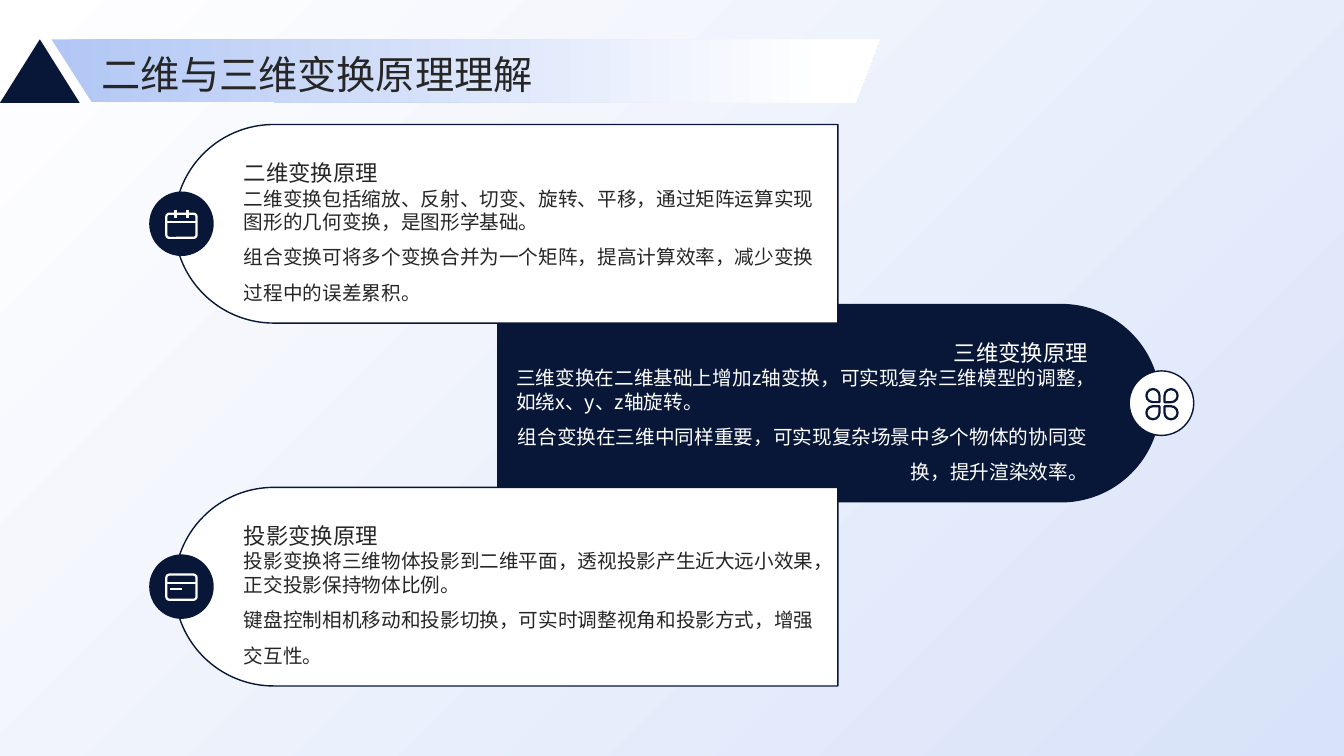
"""Build the slide on the principles of 2D, 3D and projection transforms."""
from lxml import etree
from pptx import Presentation
from pptx.dml.color import RGBColor
from pptx.enum.shapes import MSO_CONNECTOR, MSO_SHAPE
from pptx.enum.text import MSO_ANCHOR, PP_ALIGN
from pptx.oxml.ns import qn
from pptx.util import Inches, Pt

RECT, OVAL, TRIANGLE = MSO_SHAPE.RECTANGLE, MSO_SHAPE.OVAL, MSO_SHAPE.ISOSCELES_TRIANGLE
PILL, ROUNDED, TEAR = MSO_SHAPE.ROUND_2_SAME_RECTANGLE, MSO_SHAPE.ROUNDED_RECTANGLE, MSO_SHAPE.TEAR
STRAIGHT = MSO_CONNECTOR.STRAIGHT
LEFT, RIGHT = PP_ALIGN.LEFT, PP_ALIGN.RIGHT
TOP, MIDDLE, BOTTOM = MSO_ANCHOR.TOP, MSO_ANCHOR.MIDDLE, MSO_ANCHOR.BOTTOM
NAVY, WHITE, INK = "081738", "FFFFFF", "262626"
FONT = "Noto Sans CJK SC"
ICON_LINE = 1.6

prs = Presentation()
prs.slide_width, prs.slide_height = Inches(13.33), Inches(7.5)
s = prs.slides.add_slide(prs.slide_layouts[6])


def add_shape(kind, box, fill=None, line=None, width=1):
    sp = s.shapes.add_shape(kind, *map(Inches, box))
    sp.shadow.inherit = False
    for part, color in ((sp.fill, fill), (sp.line.fill, line)):
        if color:
            part.solid()
            part.fore_color.rgb = RGBColor.from_string(color)
        else:
            part.background()
    if line:
        sp.line.width = Pt(width)
    return sp


def add_text(box, paragraphs, size, color, anchor):
    tf = s.shapes.add_textbox(*map(Inches, box)).text_frame
    frame = {"word_wrap": True, "vertical_anchor": anchor, "margin_left": 0,
             "margin_right": 0, "margin_top": 0, "margin_bottom": 0}
    for name, value in frame.items():
        setattr(tf, name, value)
    for i, (text, align, spacing) in enumerate(paragraphs):
        p = tf.add_paragraph() if i else tf.paragraphs[0]
        p.alignment, p.line_spacing = align, spacing
        r = p.add_run()
        r.text = text
        for name, value in {"size": Pt(size), "name": FONT}.items():
            setattr(r.font, name, value)
        r.font.color.rgb = RGBColor.from_string(color)
        etree.SubElement(r.font._element, qn("a:ea"), typeface=FONT)


background = add_shape(RECT, (0, 0, 13.33, 7.5), WHITE)

cards = [
    {"center": (8.22, 4.0), "turn": 90, "fill": NAVY, "line": None, "ink": WHITE,
     "text_left": 5.12, "align": RIGHT, "badge_left": 11.2,
     "badge": (WHITE, NAVY), "title": "三维变换原理",
     "body": ["三维变换在二维基础上增加z轴变换，可实现复杂三维模型的调整，如绕x、y、z轴旋转。",
              "组合变换在三维中同样重要，可实现复杂场景中多个物体的协同变换，提升渲染效率。"]},
]
for center_y, title, body in (
    (2.22, "二维变换原理",
     ["二维变换包括缩放、反射、切变、旋转、平移，通过矩阵运算实现图形的几何变换，是图形学基础。",
      "组合变换可将多个变换合并为一个矩阵，提高计算效率，减少变换过程中的误差累积。"]),
    (5.82, "投影变换原理",
     ["投影变换将三维物体投影到二维平面，透视投影产生近大远小效果，正交投影保持物体比例。",
      "键盘控制相机移动和投影切换，可实时调整视角和投影方式，增强交互性。"]),
):
    cards.append({"center": (5.02, center_y), "turn": 270, "fill": WHITE, "line": NAVY,
                  "ink": INK, "text_left": 2.42, "align": LEFT, "badge_left": 1.48,
                  "badge": (NAVY, None), "title": title, "body": body})

for card in cards:
    x, y = card["center"]
    pill = add_shape(PILL, (x - 0.985, y - 3.29, 1.97, 6.58), card["fill"], card["line"])
    pill.rotation = card["turn"]
    pill.adjustments[0], pill.adjustments[1] = 0.5, 0
    left, align = card["text_left"], card["align"]
    first, second = card["body"]
    add_text((left, y - 0.37, 5.67, 1.22), [(first, LEFT, 1.0), (second, align, 1.5)],
             14, card["ink"], TOP)
    add_text((left, y - 0.85, 5.67, 0.48), [(card["title"], align, 1.3)],
             16, card["ink"], BOTTOM)
    add_shape(OVAL, (card["badge_left"], y - 0.32, 0.64, 0.64), *card["badge"])

for top, height in ((2.12, 0.24), (5.7, 0.25)):
    icon = add_shape(ROUNDED, (1.65, top, 0.3, height), None, WHITE, ICON_LINE)
    icon.adjustments[0] = 0.12

icon_strokes = [
    (1.65, 2.2, 1.95, 2.2), (1.74, 2.08, 1.74, 2.16), (1.86, 2.08, 1.86, 2.16),
    (1.65, 5.78, 1.95, 5.78), (1.69, 5.84, 1.81, 5.84),
]
for ends in icon_strokes:
    stroke = s.shapes.add_connector(STRAIGHT, *map(Inches, ends))
    stroke.line.width = Pt(ICON_LINE)
    stroke.line.color.rgb = RGBColor.from_string(WHITE)
    etree.SubElement(stroke._element.spPr, qn("a:effectLst"))

for x, y, turn in ((11.37, 3.86, 90), (11.55, 3.86, 180), (11.37, 4.03, 0), (11.55, 4.03, 270)):
    petal = add_shape(TEAR, (x, y, 0.13, 0.13), None, NAVY, ICON_LINE)
    petal.rotation = turn

add_shape(TRIANGLE, (0, 0.39, 0.79, 0.63), NAVY)
outline = s.shapes.build_freeform(Inches(0.91), Inches(1.01))
outline.add_line_segments([(Inches(x), Inches(y)) for x, y in
                           ((0.51, 0.39), (8.73, 0.39), (8.49, 1.02))], close=True)
banner = outline.convert_to_shape()
banner.shadow.inherit = False
banner.line.fill.background()

for sp, angle, stops in (
    (background, 315, ((0, WHITE), (1, "D8E2F9"))),
    (banner, 0, ((0, "B1C6F4"), (0.94, WHITE))),
):
    sp.fill.gradient()
    sp.fill.gradient_angle = angle
    for stop, (position, color) in zip(sp.fill.gradient_stops, stops):
        stop.position = position
        stop.color.rgb = RGBColor.from_string(color)

add_text((1.01, 0.45, 11.52, 0.51), [("二维与三维变换原理理解", LEFT, 1.1)], 28, INK, MIDDLE)

prs.save("out.pptx")
